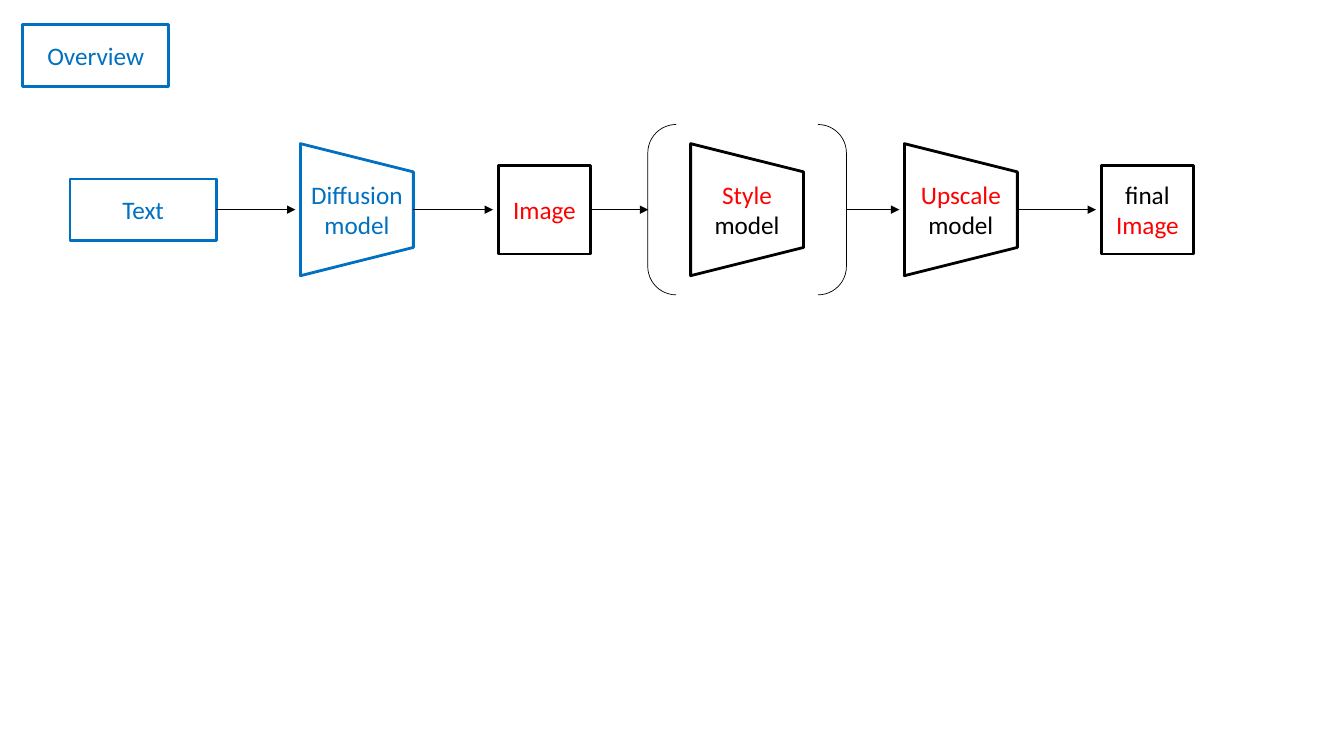
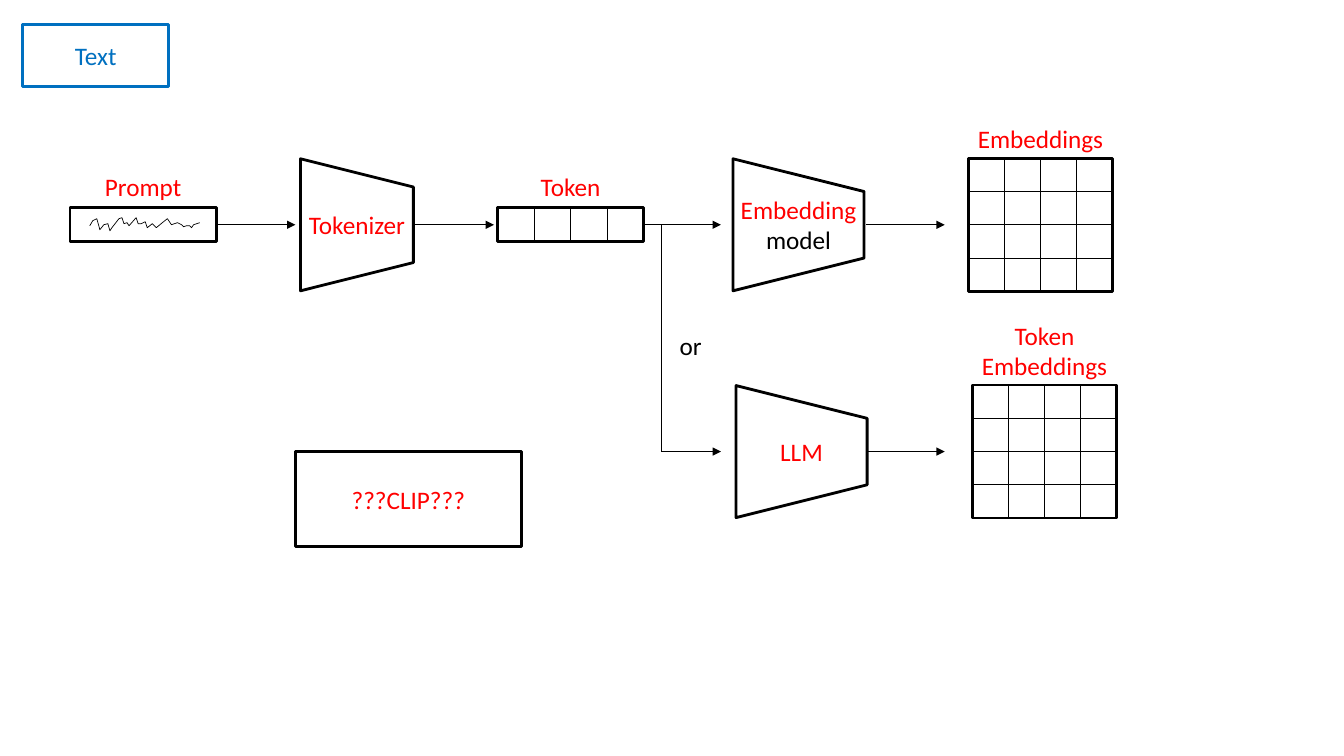
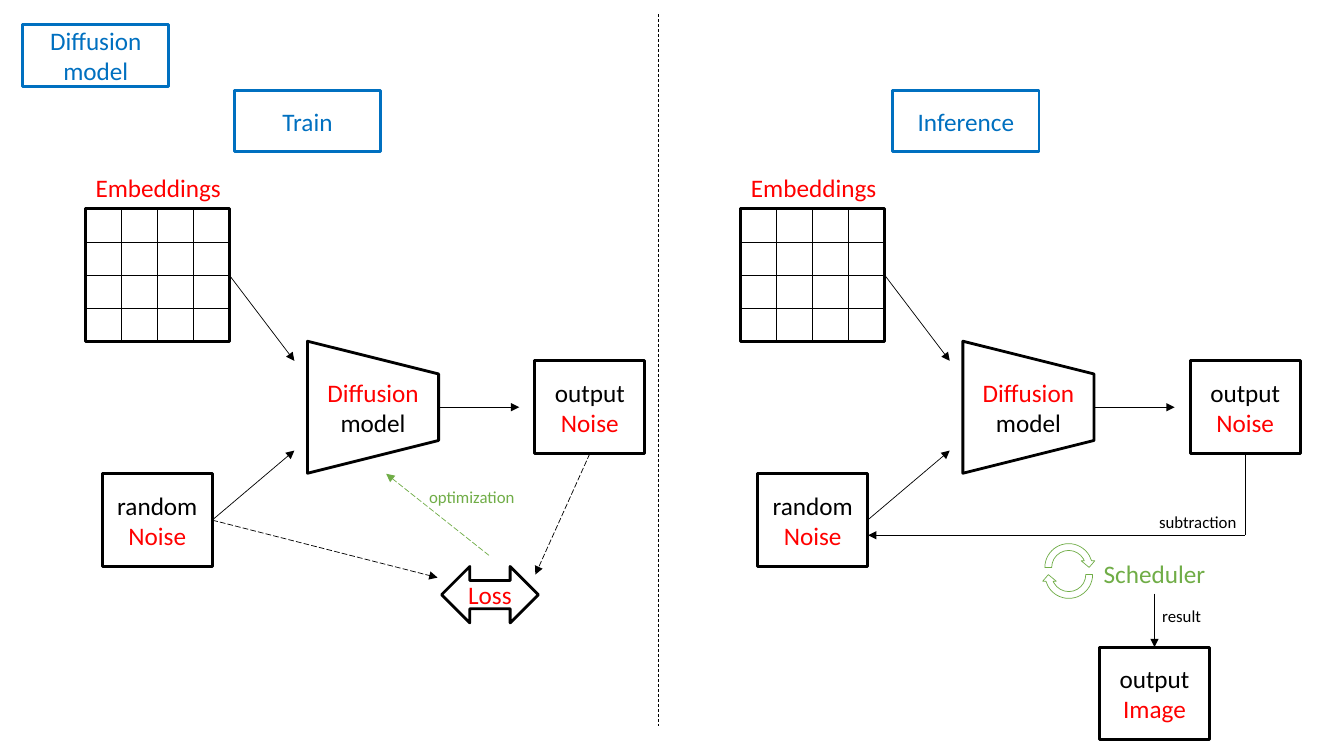
from pptx import Presentation
from pptx.dml.color import RGBColor
from pptx.enum.dml import MSO_LINE
from pptx.enum.shapes import MSO_CONNECTOR, MSO_SHAPE
from pptx.enum.text import MSO_ANCHOR, PP_ALIGN
from pptx.oxml.ns import qn
from pptx.util import Inches, Pt
from lxml.etree import SubElement

BLUE = RGBColor(0x00, 0x70, 0xC0)
RED = RGBColor(0xFF, 0x00, 0x00)
BLACK = RGBColor(0x00, 0x00, 0x00)
GREEN = RGBColor(0x70, 0xAD, 0x47)
TOP, LEFT, BOTTOM, RIGHT = range(4)
MODEL = ("model", BLACK)
NOISE = ("Noise", RED)


class Diagram:
    font = "Calibri"
    thick = Pt(2)
    thin = Pt(0.5)

    def __init__(self):
        self.presentation = Presentation()
        self.presentation.slide_width = Inches(13.33)
        self.presentation.slide_height = Inches(7.5)
        self.shapes = None

    def start_slide(self, *title_lines):
        layout = self.presentation.slide_layouts[6]
        self.shapes = self.presentation.slides.add_slide(layout).shapes
        self.heading(0.95, 0.55, *title_lines)

    def fill_text(self, shape, lines, size=18):
        frame = shape.text_frame
        frame.word_wrap = True
        frame.vertical_anchor = MSO_ANCHOR.MIDDLE
        frame.margin_left = frame.margin_right = 0
        frame.margin_top = frame.margin_bottom = 0
        for index, (text, color) in enumerate(lines):
            paragraph = frame.add_paragraph() if index else frame.paragraphs[0]
            paragraph.alignment = PP_ALIGN.CENTER
            run = paragraph.add_run()
            run.text = text
            run.font.name = self.font
            run.font.size = Pt(size)
            run.font.color.rgb = color

    def outline(self, shape, color, width):
        shape.shadow.inherit = False
        shape.fill.background()
        shape.line.color.rgb = color
        shape.line.width = width

    def box(self, x, y, width, height, *lines, color=BLACK,
            kind=MSO_SHAPE.RECTANGLE, stroke=thick):
        shape = self.shapes.add_shape(
            kind, Inches(x - width / 2), Inches(y - height / 2),
            Inches(width), Inches(height))
        self.outline(shape, color, stroke)
        self.fill_text(shape, lines)
        return shape

    def heading(self, x, y, *lines):
        return self.box(x, y, 1.45, 0.61, *[(line, BLUE) for line in lines],
                        color=BLUE)

    def label(self, x, y, *lines, size=18):
        width, height = 1.5, 0.4 * len(lines)
        shape = self.shapes.add_textbox(
            Inches(x - width / 2), Inches(y - height / 2),
            Inches(width), Inches(height))
        self.fill_text(shape, lines, size)

    def model(self, x, y, *lines, depth=1.3, color=BLACK):
        shape = self.box(x, y, 1.31, depth, color=color,
                         kind=MSO_SHAPE.TRAPEZOID)
        shape.rotation = 90
        self.label(x, y, *lines)

    def line(self, start, end, color=BLACK, dash=None, arrow=False):
        joined_start = not isinstance(start[0], (int, float))
        joined_end = not isinstance(end[0], (int, float))
        begin_x, begin_y = (0, 0) if joined_start else start
        end_x, end_y = (0, 0) if joined_end else end
        connector = self.shapes.add_connector(
            MSO_CONNECTOR.STRAIGHT, Inches(begin_x), Inches(begin_y),
            Inches(end_x), Inches(end_y))
        if joined_start:
            connector.begin_connect(*start)
        if joined_end:
            connector.end_connect(*end)
        connector.line.color.rgb = color
        connector.line.width = self.thin
        if dash:
            connector.line.dash_style = dash
        properties = connector._element.spPr
        if arrow:
            SubElement(properties.find(qn("a:ln")), qn("a:tailEnd"),
                       type="triangle")
        SubElement(properties, qn("a:effectLst"))

    def arrow(self, start, end, **style):
        self.line(start, end, arrow=True, **style)

    def grid(self, x, y, width=1.43, height=1.32, rows=4, columns=4):
        shape = self.box(x, y, width, height)
        left, top = x - width / 2, y - height / 2
        for column in range(1, columns):
            line_x = left + width * column / columns
            self.line((line_x, top), (line_x, top + height))
        for row in range(1, rows):
            line_y = top + height * row / rows
            self.line((left, line_y), (left + width, line_y))
        return shape

    def scribble(self, points):
        start, *rest = [(Inches(x), Inches(y)) for x, y in points]
        builder = self.shapes.build_freeform(*start)
        builder.add_line_segments(rest, close=False)
        self.outline(builder.convert_to_shape(), BLACK, self.thin)


def build_overview(diagram):
    diagram.start_slide("Overview")
    flow = 2.08
    text = diagram.heading(1.42, flow, "Text")
    image = diagram.box(5.4, flow, 0.91, 0.88, ("Image", RED))
    diagram.box(11.38, flow, 0.91, 0.88, ("final", BLACK), ("Image", RED))
    diagram.model(3.54, flow, ("Diffusion", BLUE), ("model", BLUE),
                  depth=1.12, color=BLUE)
    for x, name in ((7.41, "Style"), (9.53, "Upscale")):
        diagram.model(x, flow, (name, RED), MODEL, depth=1.12)
    diagram.box(7.41, flow, 1.97, 1.69, kind=MSO_SHAPE.DOUBLE_BRACKET,
                stroke=diagram.thin)
    for start, end_x in (((text, RIGHT), 2.93), ((4.1, flow), 4.89),
                         ((image, RIGHT), 6.43), ((8.39, flow), 8.92),
                         ((10.09, flow), 10.87)):
        diagram.arrow(start, (end_x, flow))


def build_text(diagram):
    diagram.start_slide("Text")
    flow, branch = 2.23, 4.48
    prompt = diagram.box(1.42, flow, 1.45, 0.34)
    diagram.label(1.42, 1.85, ("Prompt", RED))
    diagram.scribble((
        (0.89, 2.24), (0.92, 2.19), (0.96, 2.17), (0.98, 2.24), (0.99, 2.28),
        (1.03, 2.23), (1.07, 2.22), (1.09, 2.29), (1.11, 2.26), (1.18, 2.17),
        (1.21, 2.16), (1.23, 2.22), (1.26, 2.21), (1.28, 2.24), (1.35, 2.16),
        (1.37, 2.22), (1.4, 2.22), (1.44, 2.2), (1.46, 2.26), (1.51, 2.22),
        (1.55, 2.26), (1.61, 2.21), (1.66, 2.17), (1.7, 2.23), (1.76, 2.21),
        (1.8, 2.23), (1.82, 2.25), (1.85, 2.24), (1.88, 2.24), (1.9, 2.26),
        (1.92, 2.23), (1.98, 2.21)))
    diagram.model(3.54, flow, ("Tokenizer", RED), depth=1.12)
    token = diagram.grid(5.66, flow, 1.45, 0.34, rows=1)
    diagram.label(5.66, 1.85, ("Token", RED))
    diagram.model(7.92, flow, ("Embedding", RED), MODEL)
    diagram.grid(10.32, flow)
    diagram.label(10.32, 1.37, ("Embeddings", RED))
    diagram.model(7.95, branch, ("LLM", RED))
    diagram.grid(10.36, branch)
    diagram.label(10.36, 3.48, ("Token", RED), ("Embeddings", RED))
    for start, end in (((prompt, RIGHT), (2.93, flow)),
                       ((4.11, flow), (4.9, flow)),
                       ((token, RIGHT), (7.15, flow)),
                       ((8.59, flow), (9.37, flow)),
                       ((8.59, branch), (9.37, branch)),
                       ((6.56, branch), (7.15, branch))):
        diagram.arrow(start, end)
    diagram.line((6.56, branch), (6.56, flow))
    diagram.label(6.85, 3.43, ("or", BLACK))
    diagram.box(4.05, 4.95, 2.24, 0.94, ("???CLIP???", RED))


def build_noise_flow(diagram, offset):
    embeddings = diagram.grid(offset + 1.56, 2.73)
    diagram.label(offset + 1.57, 1.86, ("Embeddings", RED))
    diagram.model(offset + 3.7, 4.04, ("Diffusion", RED), MODEL)
    random = diagram.box(offset + 1.56, 5.16, 1.09, 0.92,
                         ("random", BLACK), NOISE)
    output = diagram.box(offset + 5.85, 4.04, 1.09, 0.92,
                         ("output", BLACK), NOISE)
    diagram.arrow((embeddings, RIGHT), (offset + 2.92, 3.58))
    diagram.arrow((random, RIGHT), (offset + 2.92, 4.47))
    diagram.arrow((offset + 4.35, 4.04), (offset + 5.15, 4.04))
    return random, output


def build_diffusion(diagram):
    diagram.start_slide("Diffusion", "model")
    diagram.line((6.53, 0.14), (6.53, 7.2), dash=MSO_LINE.DASH)

    diagram.heading(3.05, 1.2, "Train")
    random, output = build_noise_flow(diagram, 0)
    diagram.box(4.86, 5.9, 0.96, 0.56, ("Loss", RED),
                kind=MSO_SHAPE.LEFT_RIGHT_ARROW)
    dash = MSO_LINE.LONG_DASH
    diagram.arrow((output, BOTTOM), (5.31, 5.7), dash=dash)
    diagram.arrow((random, RIGHT), (4.34, 5.73), dash=dash)
    diagram.arrow((4.85, 5.51), (3.83, 4.7), color=GREEN, dash=dash)
    diagram.label(4.68, 4.93, ("optimization", GREEN), size=12)

    diagram.heading(9.58, 1.2, "Inference")
    random, output = build_noise_flow(diagram, 6.5)
    diagram.line((output, BOTTOM), (12.35, 5.31))
    diagram.arrow((12.35, 5.31), (8.61, 5.31))
    diagram.label(11.88, 5.18, ("subtraction", BLACK), size=12)
    for y, rotation in ((5.63, 0), (5.7, 180)):
        cycle = diagram.box(10.6, y, 0.54, 0.54, color=GREEN,
                            kind=MSO_SHAPE.CIRCULAR_ARROW,
                            stroke=diagram.thin)
        cycle.rotation = rotation
    diagram.label(11.45, 5.69, ("Scheduler", GREEN))
    result = diagram.box(11.45, 6.88, 1.09, 0.92,
                         ("output", BLACK), ("Image", RED))
    diagram.arrow((11.45, 5.89), (result, TOP))
    diagram.label(11.72, 6.11, ("result", BLACK), size=12)


def main():
    diagram = Diagram()
    build_overview(diagram)
    build_text(diagram)
    build_diffusion(diagram)
    diagram.presentation.save("out.pptx")


if __name__ == "__main__":
    main()
